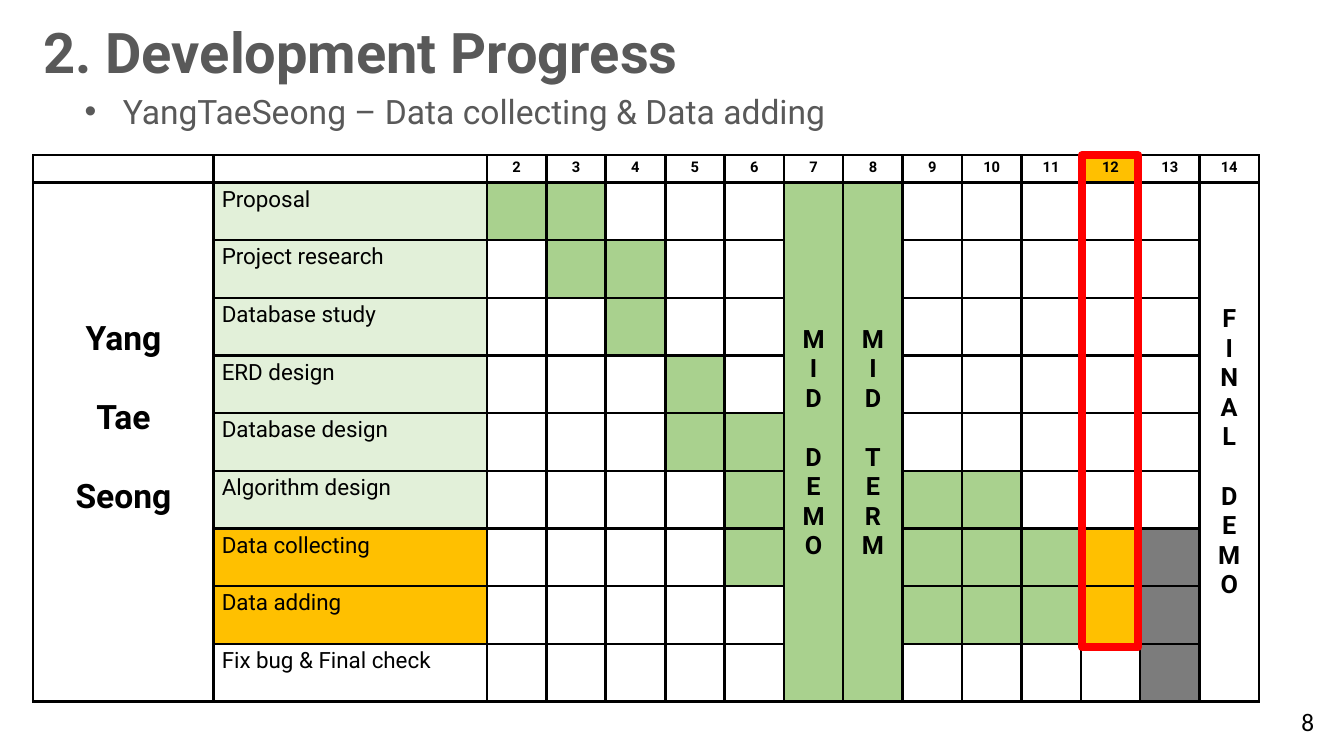
from dataclasses import dataclass, field

from lxml import etree
from pptx import Presentation
from pptx.dml.color import RGBColor
from pptx.enum.shapes import MSO_SHAPE
from pptx.enum.text import MSO_ANCHOR, MSO_AUTO_SIZE, PP_ALIGN
from pptx.oxml.ns import qn
from pptx.slide import Slide
from pptx.table import Table, _Cell
from pptx.text.text import _Paragraph
from pptx.util import Inches, Pt

RECTANGLE = MSO_SHAPE.RECTANGLE
TOP, MIDDLE = MSO_ANCHOR.TOP, MSO_ANCHOR.MIDDLE
GROW = MSO_AUTO_SIZE.SHAPE_TO_FIT_TEXT
LEFT, CENTER = PP_ALIGN.LEFT, PP_ALIGN.CENTER


@dataclass(frozen=True)
class Theme:
    font: str = "Roboto"
    number_font: str = "Calibri"
    white: str = "FFFFFF"
    black: str = "000000"
    heading: str = "595959"
    done: str = "A9D18E"
    done_label: str = "E2F0D9"
    current: str = "FFC000"
    planned: str = "7C7C7C"
    highlight: str = "FF0000"
    title_size: float = 40
    name_size: float = 24
    milestone_size: float = 18
    task_size: float = 16
    week_size: float = 10.5
    border: float = 1.98
    thick_border: float = 2.55
    highlight_line: float = 6


THEME = Theme()


@dataclass(frozen=True)
class TextBox:
    text: str
    left: float
    top: float
    width: float
    height: float
    size: float
    color: str
    font: str = THEME.font
    bold: bool = False
    wrap: bool = True
    bullet: bool = False


@dataclass(frozen=True)
class Task:
    name: str
    label_fill: str
    weeks: dict[int, str] = field(default_factory=dict)


@dataclass(frozen=True)
class TallCell:
    """A cell spanning all task rows; a gap separates the groups of lines."""
    column: int
    groups: list[list[str]]
    size: float
    gap: float
    fill: str
    anchor: MSO_ANCHOR = TOP
    top_margin: float = 0.06


def done(*weeks: int) -> dict[int, str]:
    return dict.fromkeys(weeks, THEME.done)


PLANNED_WEEK = {13: THEME.planned}
CURRENT_WEEKS = {12: THEME.current} | PLANNED_WEEK

TEXT_BOXES = [
    TextBox("YangTaeSeong – Data collecting & Data adding", 0.74, 0.85, 12.6, 0.5,
            THEME.name_size, THEME.heading, bullet=True),
    TextBox("8", 12.81, 6.96, 0.33, 0.4, THEME.milestone_size, THEME.black,
            font=THEME.number_font, wrap=False),
    TextBox("2. Development Progress", 0.33, 0.12, 7.52, 0.77,
            THEME.title_size, THEME.heading, bold=True),
]

TASKS = [
    Task("Proposal", THEME.done_label, done(2, 3)),
    Task("Project research", THEME.done_label, done(3, 4)),
    Task("Database study", THEME.done_label, done(4)),
    Task("ERD design", THEME.done_label, done(5)),
    Task("Database design", THEME.done_label, done(5, 6)),
    Task("Algorithm design", THEME.done_label, done(6, 9, 10)),
    Task("Data collecting", THEME.current, done(6, 9, 10, 11) | CURRENT_WEEKS),
    Task("Data adding", THEME.current, done(9, 10, 11) | CURRENT_WEEKS),
    Task("Fix bug & Final check", THEME.white, PLANNED_WEEK),
]

TALL_CELLS = [
    TallCell(0, [["Yang"], ["Tae"], ["Seong"]], THEME.name_size, 28.1, THEME.white,
             top_margin=1.36),
    TallCell(7, [list("MID"), list("DEMO")], THEME.milestone_size, 21.1, THEME.done, MIDDLE),
    TallCell(8, [list("MID"), list("TERM")], THEME.milestone_size, 21.1, THEME.done, MIDDLE),
    TallCell(14, [list("FINAL"), list("DEMO")], THEME.milestone_size, 21.1, THEME.white,
             top_margin=1.21),
]

# Weeks 2 to 14 stand in the table columns of the same index.
WEEKS = range(2, 15)
CURRENT_WEEK = 12
THICK_RIGHT, THICK_LEFT = (4, 10), (5, 11)
TABLE_LEFT, TABLE_TOP, TABLE_WIDTH, TABLE_HEIGHT = 0.33, 1.54, 12.16, 5.42
NAME_WIDTH, TASK_WIDTH, HEADER_HEIGHT = 1.79, 2.71, 0.27


def style_paragraph(paragraph: _Paragraph, size: float, color: str, bold: bool,
                    font: str = THEME.font, alignment: PP_ALIGN = LEFT) -> None:
    paragraph.alignment = alignment
    paragraph.font.name = font
    paragraph.font.size = Pt(size)
    paragraph.font.bold = bold
    paragraph.font.color.rgb = RGBColor.from_string(color)


def add_bullet(paragraph: _Paragraph) -> None:
    properties = paragraph._p.get_or_add_pPr()
    properties.set("marL", str(Inches(0.38)))
    properties.set("indent", str(Inches(-0.38)))
    etree.SubElement(properties, qn("a:buFont"), typeface="Arial")
    etree.SubElement(properties, qn("a:buChar"), char="•")


def add_text_box(slide: Slide, box: TextBox) -> None:
    shape = slide.shapes.add_textbox(Inches(box.left), Inches(box.top),
                                     Inches(box.width), Inches(box.height))
    frame = shape.text_frame
    frame.word_wrap = box.wrap
    frame.auto_size = GROW
    frame.text = box.text
    paragraph = frame.paragraphs[0]
    if box.bullet:
        add_bullet(paragraph)
    style_paragraph(paragraph, box.size, box.color, box.bold, box.font)


def set_borders(cell: _Cell, column: int) -> None:
    thick_sides = {"lnL": column in THICK_LEFT, "lnR": column in THICK_RIGHT}
    properties = cell._tc.get_or_add_tcPr()
    for side in ("lnL", "lnR", "lnT", "lnB"):
        width = THEME.thick_border if thick_sides.get(side) else THEME.border
        line = etree.SubElement(properties, qn(f"a:{side}"), w=str(Pt(width)))
        fill = etree.SubElement(line, qn("a:solidFill"))
        etree.SubElement(fill, qn("a:srgbClr"), val=THEME.black)


def set_fill(cell: _Cell, color: str) -> None:
    cell.fill.solid()
    cell.fill.fore_color.rgb = RGBColor.from_string(color)


def prepare_cells(table: Table) -> None:
    """Give every cell its borders, a white fill and small margins."""
    for row in table.rows:
        for column, cell in enumerate(row.cells):
            set_borders(cell, column)
            set_fill(cell, THEME.white)
            cell.margin_left = cell.margin_right = Inches(0.08)
            cell.margin_top = cell.margin_bottom = Inches(0.04)
            # An empty cell takes its line height from the end mark.
            end_mark = cell.text_frame.paragraphs[0]._p.get_or_add_endParaRPr()
            end_mark.set("sz", str(int(THEME.week_size * 100)))


def write_cell(cell: _Cell, text: str, size: float, bold: bool, alignment: PP_ALIGN) -> None:
    cell.text_frame.text = text
    for paragraph in cell.text_frame.paragraphs:
        style_paragraph(paragraph, size, THEME.black, bold, alignment=alignment)


def fill_tall_cell(table: Table, tall: TallCell) -> None:
    cell = table.cell(1, tall.column)
    cell.merge(table.cell(len(TASKS), tall.column))
    set_fill(cell, tall.fill)
    cell.vertical_anchor = tall.anchor
    cell.margin_top = Inches(tall.top_margin)
    lines = [line for group in tall.groups for line in group]
    write_cell(cell, "\n".join(lines), tall.size, True, CENTER)
    start = 0
    for group in tall.groups[:-1]:
        start += len(group)
        cell.text_frame.paragraphs[start].space_before = Pt(tall.gap)


def add_schedule(slide: Slide) -> None:
    frame = slide.shapes.add_table(len(TASKS) + 1, len(WEEKS) + 2,
                                   Inches(TABLE_LEFT), Inches(TABLE_TOP),
                                   Inches(TABLE_WIDTH), Inches(TABLE_HEIGHT))
    table = frame.table
    table.first_row = table.horz_banding = False
    week_width = (TABLE_WIDTH - NAME_WIDTH - TASK_WIDTH) / len(WEEKS)
    for column, width in zip(table.columns, [NAME_WIDTH, TASK_WIDTH] + [week_width] * len(WEEKS)):
        column.width = Inches(width)
    task_height = (TABLE_HEIGHT - HEADER_HEIGHT) / len(TASKS)
    for row, height in zip(table.rows, [HEADER_HEIGHT] + [task_height] * len(TASKS)):
        row.height = Inches(height)
    prepare_cells(table)
    for week in WEEKS:
        write_cell(table.cell(0, week), str(week), THEME.week_size, True, CENTER)
    set_fill(table.cell(0, CURRENT_WEEK), THEME.current)
    for row, task in enumerate(TASKS, start=1):
        label = table.cell(row, 1)
        write_cell(label, task.name, THEME.task_size, False, LEFT)
        set_fill(label, task.label_fill)
        for week, color in task.weeks.items():
            set_fill(table.cell(row, week), color)
    for tall in TALL_CELLS:
        fill_tall_cell(table, tall)


def add_current_week_frame(slide: Slide) -> None:
    shape = slide.shapes.add_shape(RECTANGLE, Inches(10.73), Inches(TABLE_TOP),
                                   Inches(0.56), Inches(4.88))
    shape.shadow.inherit = False
    shape.fill.background()
    shape.line.color.rgb = RGBColor.from_string(THEME.highlight)
    shape.line.width = Pt(THEME.highlight_line)


def main() -> None:
    presentation = Presentation()
    presentation.slide_width, presentation.slide_height = Inches(13.33), Inches(7.5)
    slide = presentation.slides.add_slide(presentation.slide_layouts[6])
    add_schedule(slide)
    for box in TEXT_BOXES:
        add_text_box(slide, box)
    add_current_week_frame(slide)
    presentation.save("out.pptx")


if __name__ == "__main__":
    main()
